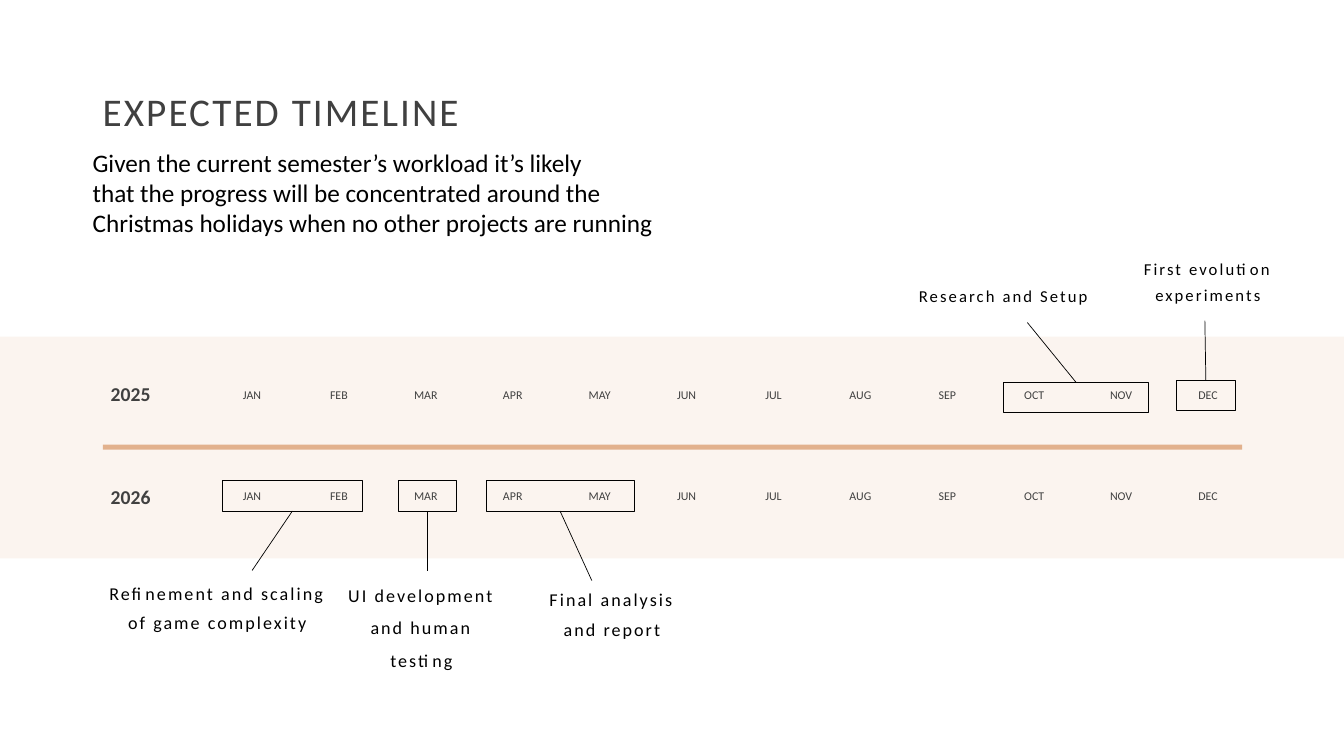
"""Build the expected timeline slide."""
from dataclasses import dataclass

from lxml.etree import SubElement
from pptx import Presentation
from pptx.dml.color import RGBColor as Rgb
from pptx.enum.shapes import MSO_CONNECTOR as Conn, MSO_SHAPE as Shape
from pptx.enum.text import MSO_ANCHOR as Anchor, PP_ALIGN as Align
from pptx.oxml.ns import qn
from pptx.util import Inches, Pt


@dataclass(frozen=True)
class Theme:
    """Hold the colours, the font and the type sizes."""
    font: str = "Calibri"
    ink: Rgb = Rgb(0, 0, 0)
    gray: Rgb = Rgb(0x40, 0x40, 0x40)
    band: Rgb = Rgb(0xFB, 0xF4, 0xEF)
    rule: Rgb = Rgb(0xE2, 0xB1, 0x8D)
    title: float = 28
    intro: float = 18
    year: float = 14
    month: float = 8.5
    upper: float = 11.9
    lower: float = 12.9
    line: float = 0.5


THEME = Theme()
TITLE = "EXPECTED TIMELINE"
INTRO = (
    "Given the current semester’s workload it’s likely",
    "that the progress will be concentrated around the",
    "Christmas holidays when no other projects are running",
)
MONTHS = "JAN FEB MAR APR MAY JUN JUL AUG SEP OCT NOV DEC".split()
YEARS = (("2025", 3.67, 3.83), ("2026", 4.69, 4.84))
LEFT, STEP = 2.15, 0.862
UPPER = (
    ("Research and Setup", (8.99, 2.47, 1.92, 0.61), 1.3,
     (9.95, 3.79, 1.44, 0.3), (10.19, 3.2)),
    ("First evolution experiments", (10.78, 2.46, 2.4, 0.61), 1.3,
     (11.67, 3.77, 0.58, 0.3), (11.95, 3.18)),
)
LOWER = (
    ("Refinement and scaling of game complexity", (0.95, 5.67, 2.41, 0.94), 1.3,
     (2.21, 4.77, 1.38, 0.3), (2.5, 5.66)),
    ("UI development and human testing", (3.28, 5.64, 1.8, 1.14), 1.5,
     (3.95, 4.77, 0.58, 0.3), (4.24, 5.66)),
    ("Final analysis and report", (5.17, 5.7, 1.8, 0.69), 1.4,
     (4.82, 4.77, 1.47, 0.3), (5.87, 5.76)),
)


def add_text(slide, box, lines, size, color=THEME.gray, bold=False, align=Align.LEFT,
             anchor=Anchor.TOP, lead=1.0, before=0, track=0):
    """Add a text box with one paragraph for each line."""
    frame = slide.shapes.add_textbox(*map(Inches, box)).text_frame
    frame.word_wrap = True
    frame.vertical_anchor = anchor
    for i, line in enumerate(lines):
        para = frame.paragraphs[0] if i == 0 else frame.add_paragraph()
        para.alignment = align
        para.line_spacing = lead
        para.space_before = Pt(before)
        run = para.add_run()
        run.text = line
        font = run.font
        font.name, font.size, font.bold = THEME.font, Pt(size), bold
        font.color.rgb = color
        if track:
            run._r.get_or_add_rPr().set("spc", str(int(track * 100)))


def add_rect(slide, box, fill=None):
    """Add a filled bar, or an outlined frame when no fill is given."""
    rect = slide.shapes.add_shape(Shape.RECTANGLE, *map(Inches, box))
    rect.shadow.inherit = False
    if fill is not None:
        rect.fill.solid()
        rect.fill.fore_color.rgb = fill
        rect.line.fill.background()
    else:
        rect.fill.background()
        rect.line.color.rgb = THEME.ink
        rect.line.width = Pt(THEME.line)
    return rect


def add_link(slide, frame, side, end):
    """Join the middle of a frame's side to a point."""
    x, y = map(Inches, end)
    link = slide.shapes.add_connector(Conn.STRAIGHT, x, y, x, y)
    link.begin_connect(frame, side)
    link.line.color.rgb = THEME.ink
    link.line.width = Pt(THEME.line)
    SubElement(link._element.spPr, qn("a:effectLst"))


def add_year(slide, year, top, row):
    """Add a year label and its row of months."""
    add_text(slide, (1, top, 0.8, 0.5), [year], THEME.year, bold=True,
             anchor=Anchor.MIDDLE, lead=0.9, before=10)
    for i, month in enumerate(MONTHS):
        add_text(slide, (LEFT + i * STEP, row, 0.7, 0.22), [month], THEME.month,
                 align=Align.CENTER, lead=0.7, before=10)


def add_goal(slide, goal, size, side, anchor):
    """Add a goal's label, the frame on its months and the link between them."""
    text, box, lead, span, end = goal
    add_text(slide, box, [text], size, THEME.ink, align=Align.CENTER,
             anchor=anchor, lead=lead, before=10, track=1.5)
    add_link(slide, add_rect(slide, span), side, end)


def main():
    """Build and save the slide."""
    deck = Presentation()
    deck.slide_width, deck.slide_height = Inches(13.33), Inches(7.5)
    slide = deck.slides.add_slide(deck.slide_layouts[6])
    add_rect(slide, (0, 3.34, 13.33, 2.2), THEME.band)
    add_rect(slide, (1.02, 4.41, 11.3, 0.05), THEME.rule)
    add_text(slide, (0.92, 0.4, 11.5, 1.45), [TITLE], THEME.title,
             anchor=Anchor.MIDDLE, lead=0.9, track=1.5)
    add_text(slide, (0.82, 1.41, 6.11, 1.01), INTRO, THEME.intro, THEME.ink)
    for year in YEARS:
        add_year(slide, *year)
    for goal in UPPER:
        add_goal(slide, goal, THEME.upper, 0, Anchor.BOTTOM)
    for goal in LOWER:
        add_goal(slide, goal, THEME.lower, 2, Anchor.TOP)
    deck.save("out.pptx")


if __name__ == "__main__":
    main()
